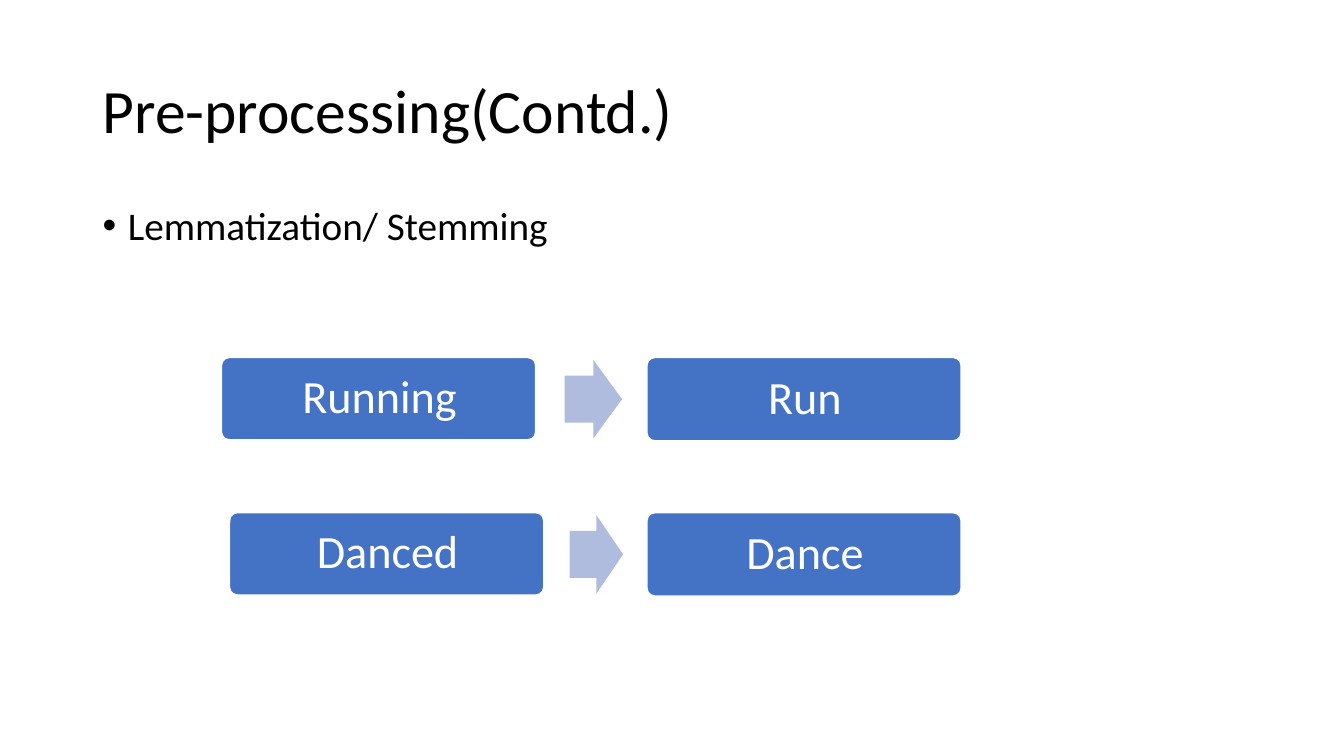
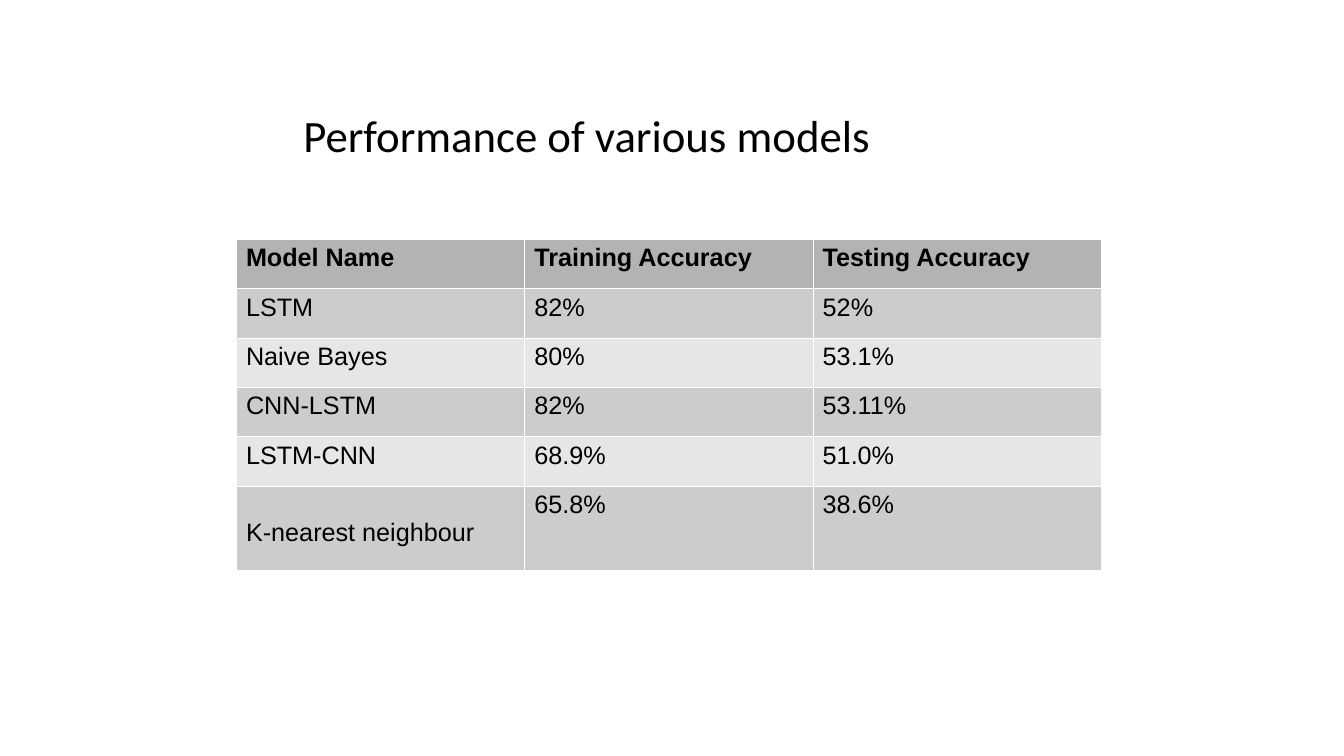
from lxml import etree
from pptx import Presentation
from pptx.dml.color import RGBColor
from pptx.enum import shapes, text
from pptx.oxml.ns import qn
from pptx.util import Inches, Pt

BLACK, WHITE = "000000", "FFFFFF"
BLUE, PALE = "4472C4", "B0BCDE"
HEAD, BANDS = "B3B3B3", ("CCCCCC", "E6E6E6")
SIDES = ("a:lnL", "a:lnR", "a:lnT", "a:lnB")


def tint(color):
    return RGBColor.from_string(color)


def paint(part, color):
    part.fill.solid()
    part.fill.fore_color.rgb = tint(color)


def write(frame, words, size=18, font="Calibri", color=BLACK, bold=False,
          align=None, lines=None, after=None):
    para = frame.paragraphs[0]
    para.alignment = align
    para.line_spacing = lines
    if after is not None:
        para.space_after = Pt(after)
    run = para.add_run()
    run.text = words
    run.font.size, run.font.name, run.font.bold = Pt(size), font, bold
    run.font.color.rgb = tint(color)
    return para


def add_bullet(para, indent):
    props = para._p.get_or_add_pPr()
    props.set("marL", str(Inches(indent)))
    props.set("indent", str(-Inches(indent)))
    etree.SubElement(props, qn("a:buFont")).set("typeface", "Arial")
    etree.SubElement(props, qn("a:buChar")).set("char", "•")


def add_edges(cell, color, width):
    props = cell._tc.get_or_add_tcPr()
    for place, side in enumerate(SIDES):
        line = etree.Element(qn(side), w=str(Pt(width)))
        fill = etree.SubElement(line, qn("a:solidFill"))
        etree.SubElement(fill, qn("a:srgbClr")).set("val", color)
        props.insert(place, line)


class Deck:
    def __init__(self):
        self.show = Presentation()
        self.show.slide_width = Inches(13.33)
        self.show.slide_height = Inches(7.5)
        self.slide = None

    def page(self):
        self.slide = self.show.slides.add_slide(self.show.slide_layouts[6])
        paint(self.slide.background, WHITE)

    def label(self, words, box, anchor=text.MSO_ANCHOR.TOP, **style):
        frame = self.slide.shapes.add_textbox(*map(Inches, box)).text_frame
        frame.word_wrap = True
        frame.vertical_anchor = anchor
        return write(frame, words, **style)

    def shape(self, kind, box, color, ratios):
        item = self.slide.shapes.add_shape(kind, *map(Inches, box))
        item.shadow.inherit = False
        paint(item, color)
        item.line.fill.background()
        for place, ratio in enumerate(ratios):
            item.adjustments[place] = ratio
        return item

    def block(self, words, box):
        item = self.shape(shapes.MSO_SHAPE.ROUNDED_RECTANGLE, box, BLUE, [0.1])
        item.line.color.rgb = tint(WHITE)
        item.line.width = Pt(2)
        frame = item.text_frame
        frame.word_wrap = True
        frame.vertical_anchor = text.MSO_ANCHOR.MIDDLE
        frame.margin_left = frame.margin_top = frame.margin_bottom = Inches(0.16)
        frame.margin_right = Inches(0.14)
        write(frame, words, size=33, color=WHITE, lines=0.9, after=11.5,
              align=text.PP_ALIGN.CENTER)

    def arrow(self, box):
        self.shape(shapes.MSO_SHAPE.RIGHT_ARROW, box, PALE, [0.6, 0.5])

    def table(self, rows, left, top, width, heights):
        count = len(rows[0])
        grid = self.slide.shapes.add_table(
            len(rows), count, Inches(left), Inches(top),
            Inches(width * count), Inches(sum(heights))).table
        for col in grid.columns:
            col.width = Inches(width)
        for r, (row, height) in enumerate(zip(rows, heights)):
            grid.rows[r].height = Inches(height)
            for c, words in enumerate(row):
                cell = grid.cell(r, c)
                paint(cell, BANDS[(r - 1) % 2] if r else HEAD)
                add_edges(cell, WHITE, 0.06)
                write(cell.text_frame, words, font="Arial", bold=r == 0)
        return grid


def main():
    deck = Deck()

    # Stemming examples
    deck.page()
    deck.label("Pre-processing(Contd.)", (0.92, 0.4, 11.5, 1.45),
               anchor=text.MSO_ANCHOR.MIDDLE, size=44, lines=0.9)
    topic = deck.label("Lemmatization/ Stemming", (0.92, 2, 11.5, 4.76),
                       size=28, lines=0.9)
    add_bullet(topic, 0.25)
    pairs = [("Running", "Run", 3.54, 2.19, 5.6, 0.57),
             ("Danced", "Dance", 5.08, 2.27, 5.65, 0.53)]
    for word, stem, top, left, mid, wide in pairs:
        deck.block(word, (left, top, 3.13, 0.83))
        deck.arrow((mid, top + 0.03, wide, 0.78))
        deck.block(stem, (6.41, top, 3.13, 0.84))

    # Accuracy table
    deck.page()
    rows = [("Model Name", "Training Accuracy", "Testing Accuracy"),
            ("LSTM", "82%", "52%"),
            ("Naive Bayes", "80%", "53.1%"),
            ("CNN-LSTM", "82%", "53.11%"),
            ("LSTM-CNN", "68.9%", "51.0%"),
            ("K-nearest neighbour", "65.8%", "38.6%")]
    grid = deck.table(rows, 2.34, 2.37, 2.86, [0.49] * 5 + [0.84])
    grid.cell(5, 0).margin_top = Inches(0.33)
    deck.label("Performance of various models", (2.91, 1.02, 9.77, 0.61),
               size=32)

    deck.show.save("out.pptx")


if __name__ == "__main__":
    main()
